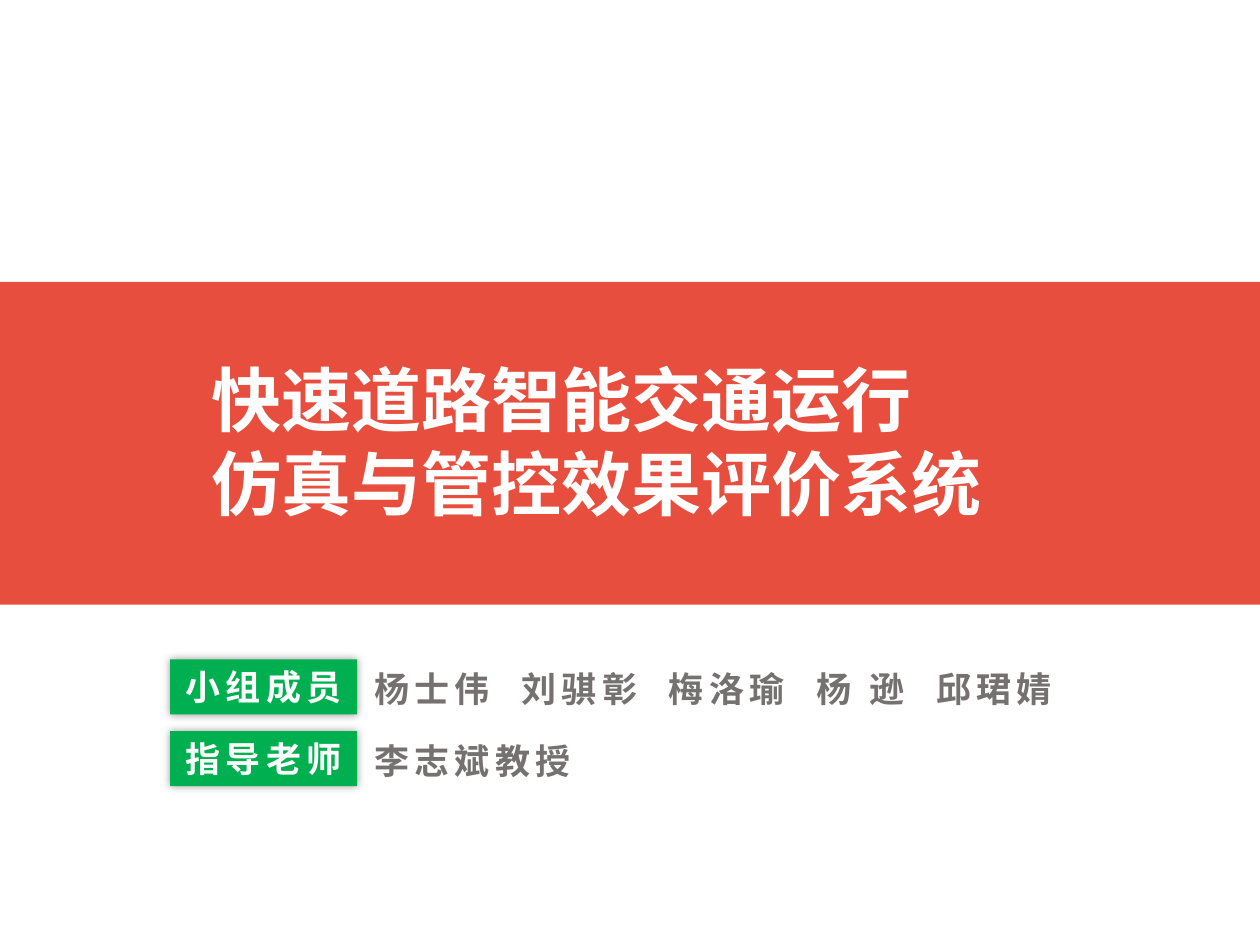
import pptx
import pptx.util
import pptx.dml.color
import pptx.enum.shapes
import pptx.enum.text
import pptx.oxml
import pptx.oxml.ns

Pt = pptx.util.Pt
ALIGN = pptx.enum.text.PP_ALIGN
ANCHOR = pptx.enum.text.MSO_ANCHOR
FONT = "Noto Sans CJK SC"

# Content
TITLE = ["快速道路智能交通运行", "仿真与管控效果评价系统"]
ROWS = [
    ("小组成员", "杨士伟  刘骐彰  梅洛瑜  杨 逊  邱珺婧", 432.7),
    ("指导老师", "李志斌教授", 147.6),
]

# Layout in points
WIDTH, HEIGHT = 720, 540
BAND = (0, 161, WIDTH, 184.5)
HEAD = (113.8, 200.2, 553, 104.4)
TAG = (97.2, 376.8, 106.9, 31.5)
NAME_X, NAME_DROP, STEP = 206.8, 1.2, 41

SHADOW = """<a:effectLst xmlns:a="http://schemas.openxmlformats.org/drawingml/2006/main">
<a:outerShdw blurRad="63500" dist="0" dir="0" algn="ctr" rotWithShape="0">
<a:srgbClr val="000000"><a:alpha val="40000"/></a:srgbClr>
</a:outerShdw></a:effectLst>"""


def color(code):
    return pptx.dml.color.RGBColor.from_string(code)


def put(obj, vals):
    for key, val in vals.items():
        setattr(obj, key, val)


def write(shape, lines, size, code, align=ALIGN.LEFT, anchor=ANCHOR.TOP, track=0):
    frame = shape.text_frame
    put(frame, {"word_wrap": True, "vertical_anchor": anchor,
                "auto_size": pptx.enum.text.MSO_AUTO_SIZE.NONE,
                "margin_left": Pt(7.2), "margin_right": Pt(7.2),
                "margin_top": Pt(3.6), "margin_bottom": Pt(3.6)})
    frame.text = "\n".join(lines)
    for para in frame.paragraphs:
        put(para, {"alignment": align, "space_before": Pt(0)})
        for run in para.runs:
            put(run.font, {"name": FONT, "size": Pt(size), "bold": True})
            run.font.color.rgb = color(code)
            props = run.font._element
            props.set("spc", str(track * 100))
            east = pptx.oxml.parse_xml(
                '<a:ea xmlns:a="http://schemas.openxmlformats.org/drawingml/2006/main"'
                f' typeface="{FONT}"/>')
            props.find(pptx.oxml.ns.qn("a:latin")).addnext(east)


def block(slide, box, code):
    shape = slide.shapes.add_shape(
        pptx.enum.shapes.MSO_SHAPE.RECTANGLE, *map(Pt, box))
    shape.shadow.inherit = False
    shape.fill.solid()
    shape.fill.fore_color.rgb = color(code)
    shape.line.fill.background()
    return shape


def main():
    deck = pptx.Presentation()
    put(deck, {"slide_width": Pt(WIDTH), "slide_height": Pt(HEIGHT)})
    slide = deck.slides.add_slide(deck.slide_layouts[5])

    # Red band, sent behind the title
    band = block(slide, BAND, "E74E3E")
    title = slide.shapes.title
    title._element.addprevious(band._element)
    put(title, dict(zip(("left", "top", "width", "height"), map(Pt, HEAD))))
    write(title, TITLE, 40, "FFFFFF")

    # Green tags with the names beside them
    left, top, wide, high = TAG
    for row, (label, names, span) in enumerate(ROWS):
        y = top + row * STEP
        tag = block(slide, (left, y, wide, high), "00B050")
        props = tag._element.spPr
        old = props.find(pptx.oxml.ns.qn("a:effectLst"))
        props.replace(old, pptx.oxml.parse_xml(SHADOW))
        write(tag, [label], 20, "FFFFFF", ALIGN.CENTER, ANCHOR.MIDDLE, 3)
        note = slide.shapes.add_textbox(
            *map(Pt, (NAME_X, y + NAME_DROP, span, high)))
        write(note, [names], 20, "767171", track=3)

    deck.save("out.pptx")


if __name__ == "__main__":
    main()
